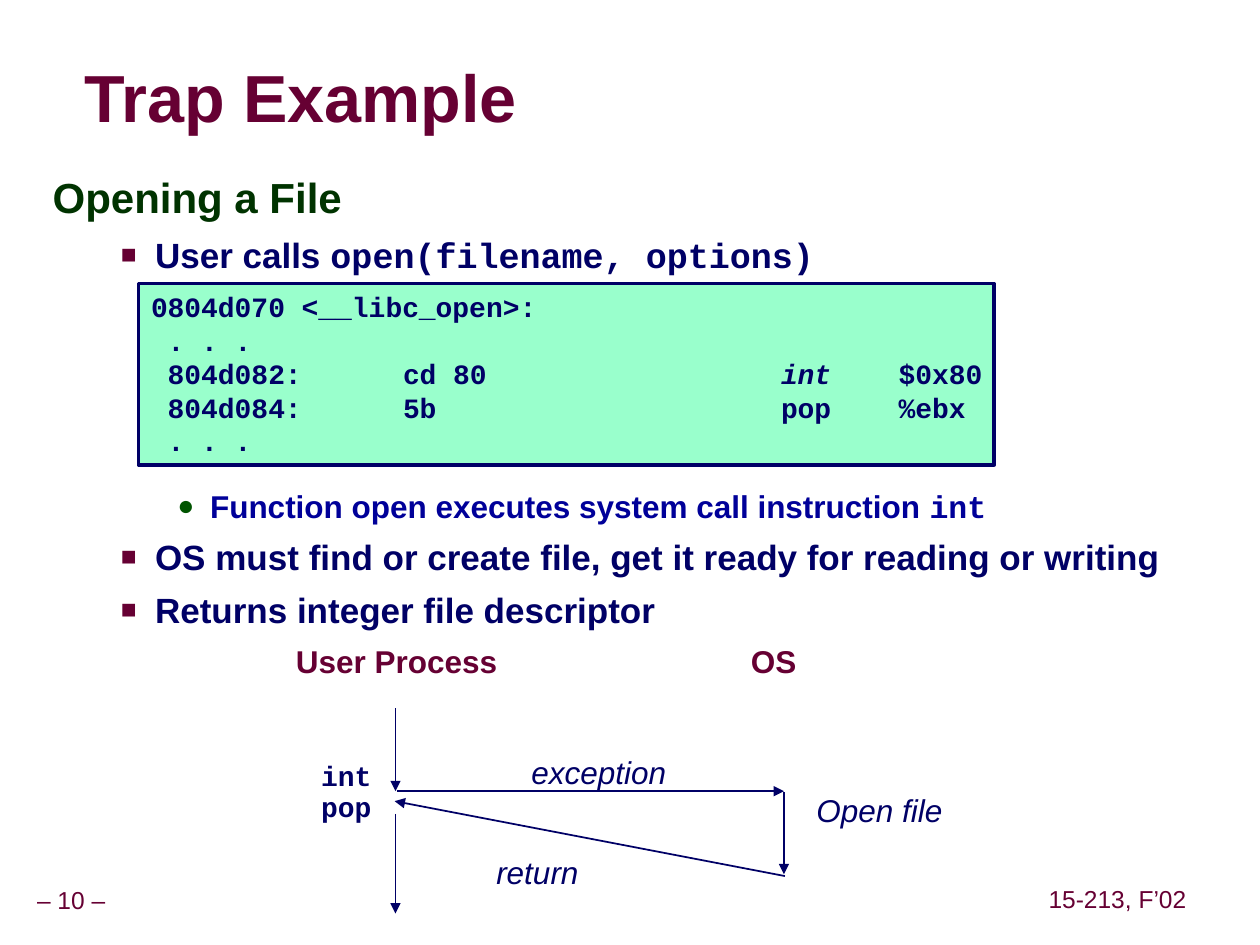
import pptx
import pptx.util
import pptx.dml.color
import pptx.enum.shapes
import pptx.enum.text
import pptx.oxml
from lxml import etree

Pt = pptx.util.Pt
RGB = pptx.dml.color.RGBColor
ALIGN = pptx.enum.text.PP_ALIGN
ANCHOR = pptx.enum.text.MSO_ANCHOR
qn = pptx.oxml.ns.qn

WINE = RGB(0x66, 0x00, 0x33)
NAVY = RGB(0x00, 0x00, 0x66)
BLUE = RGB(0x00, 0x00, 0x99)
PINE = RGB(0x00, 0x33, 0x00)
LEAF = RGB(0x00, 0x54, 0x00)
MINT = RGB(0x99, 0xFF, 0xCC)
SANS, MONO = "Arial", "Courier New"


def style(font, size, color, name=SANS, bold=False, italic=False):
    font.size, font.name = Pt(size), name
    font.color.rgb = color
    font.bold, font.italic = bold, italic


def add_box(slide, box, pad=(7.2, 3.6), wrap=True, anchor=ANCHOR.TOP):
    """Add an empty text box and return its text frame."""
    frame = slide.shapes.add_textbox(*map(Pt, box)).text_frame
    frame.margin_left = frame.margin_right = Pt(pad[0])
    frame.margin_top = frame.margin_bottom = Pt(pad[1])
    frame.word_wrap = wrap
    frame.vertical_anchor = anchor
    return frame


def add_label(slide, box, text, size, color, **look):
    para = add_box(slide, box, wrap=False).paragraphs[0]
    para.text = text
    style(para.font, size, color, **look)


def add_title(slide, box, text):
    frame = add_box(slide, box, pad=(0, 0), anchor=ANCHOR.MIDDLE)
    para = frame.paragraphs[0]
    para.line_spacing = 0.87
    run = para.add_run()
    run.text = text
    style(run.font, 38, WINE, bold=True)
    props = run._r.get_or_add_rPr()
    glow = etree.Element(qn("a:effectLst"))
    shade = etree.SubElement(glow, qn("a:outerShdw"), dist="38100", dir="2700000")
    etree.SubElement(shade, qn("a:srgbClr"), val="C0C0C0")
    props.find(qn("a:solidFill")).addnext(glow)


def add_footer(slide, box, text):
    frame = add_box(slide, box, pad=(3.6, 3.6), wrap=False, anchor=ANCHOR.MIDDLE)
    para = frame.paragraphs[0]
    para.text = text
    para.alignment = ALIGN.CENTER
    para.line_spacing = 0.9
    style(para.font, 14, WINE)


def set_bullet(para, mark, color, scale, left, hang):
    props = para._p.get_or_add_pPr()
    props.set("marL", str(Pt(left)))
    props.set("indent", str(-Pt(hang)))
    tint = etree.SubElement(props, qn("a:buClr"))
    etree.SubElement(tint, qn("a:srgbClr"), val=str(color))
    etree.SubElement(props, qn("a:buSzPct"), val=str(scale * 1000))
    etree.SubElement(props, qn("a:buFont"), typeface=SANS)
    etree.SubElement(props, qn("a:buChar"), char=mark)


def add_body(slide, box):
    frame = add_box(slide, box)
    head = frame.paragraphs[0]
    head.text = "Opening a File"
    head.line_spacing = 0.95
    style(head.font, 24, PINE, bold=True)

    square = ("■", WINE, 75, 58.5, 19.5)
    disc = ("●", LEAF, 90, 90, 18.75)
    # prose, code, bullet, size, colour, space before, line spacing
    items = [
        ("User calls ", "open(filename, options)", square, 20, NAVY, 6.2, 1),
        ("Function open executes system call instruction ", "int",
         disc, 18, BLUE, 119, 1.07),
        ("OS must find or create file, get it ready for reading or writing", "",
         square, 20, NAVY, 6.2, 1),
        ("Returns integer file descriptor", "", square, 20, NAVY, 6.2, 1),
    ]
    for prose, code, bullet, size, color, gap, lead in items:
        para = frame.add_paragraph()
        para.space_before = Pt(gap)
        para.line_spacing = lead
        set_bullet(para, *bullet)
        style(para.font, size, color, bold=True)
        for text, name in ((prose, SANS), (code, MONO)):
            if text:
                run = para.add_run()
                run.text = text
                style(run.font, size, color, name, bold=True)


def add_code(slide, box):
    panel = slide.shapes.add_shape(
        pptx.enum.shapes.MSO_SHAPE.RECTANGLE, *map(Pt, box))
    panel.shadow.inherit = False
    panel.fill.solid()
    panel.fill.fore_color.rgb = MINT
    panel.line.color.rgb = NAVY
    panel.line.width = Pt(2)
    frame = panel.text_frame
    frame.word_wrap = True
    frame.vertical_anchor = ANCHOR.TOP
    frame.margin_left, frame.margin_right = Pt(7.2), 0
    frame.margin_top = frame.margin_bottom = Pt(3.6)
    lines = ["0804d070 <__libc_open>:", " . . .",
             " 804d082:\tcd 80\tint\t$0x80",
             " 804d084:\t5b\tpop\t%ebx", " . . ."]
    for i, line in enumerate(lines):
        para = frame.paragraphs[0] if i == 0 else frame.add_paragraph()
        para.alignment = ALIGN.LEFT
        tabs = etree.SubElement(para._p.get_or_add_pPr(), qn("a:tabLst"))
        for stop in (144, 360, 427.2):
            etree.SubElement(tabs, qn("a:tab"), pos=str(Pt(stop)), algn="l")
        before, trap, after = line.partition("int\t")
        parts = [(before, False), (trap, True), (after, False)]
        for text, slant in parts:
            if text:
                run = para.add_run()
                run.text = text
                style(run.font, 16, NAVY, MONO, bold=True, italic=slant)


def add_arrow(slide, start, end):
    line = slide.shapes.add_connector(
        pptx.enum.shapes.MSO_CONNECTOR.STRAIGHT, *map(Pt, start + end))
    line.line.color.rgb = NAVY
    line.line.width = Pt(1)
    etree.SubElement(line.line._get_or_add_ln(), qn("a:tailEnd"), type="triangle")
    etree.SubElement(line._element.spPr, qn("a:effectLst"))


def add_flow(slide, box):
    """Draw the control flow between the user process and the OS."""
    left, top, width, height = box
    user, system = left + 64, left + 286
    trap, done = top + 88.5, top + 137
    add_label(slide, (left, top, 129.6, 28.8), "User Process", 18, WINE, bold=True)
    add_label(slide, (left + 260, top, 40.3, 28.8), "OS", 18, WINE, bold=True)
    for start, end in [
        ((user, top + 41), (user, trap)),
        ((user + 0.7, trap), (system, trap)),
        ((system, trap + 0.7), (system, done - 1)),
        ((system + 0.5, done), (user - 0.5, trap + 5.7)),
        ((user, trap + 13), (user, top + height)),
    ]:
        add_arrow(slide, start, end)
    for x, y, wide, text in [(134.6, 63.4, 91.4, "exception"),
                             (297.4, 85, 90, "Open file"),
                             (114.5, 120.2, 61.2, "return")]:
        add_label(slide, (left + x, top + y, wide, 28.8), text, 18, NAVY,
                  italic=True)
    for y, text in ((66.2, "int"), (84.2, "pop")):
        add_label(slide, (left + 14.4, top + y, 43.2, 26.6), text, 16, NAVY,
                  name=MONO, bold=True)


def main():
    deck = pptx.Presentation()
    deck.slide_width, deck.slide_height = Pt(720), Pt(540)
    slide = deck.slides.add_slide(deck.slide_layouts[6])
    add_footer(slide, (-6.5, 504, 94.3, 22.3), "– 10 –")
    add_footer(slide, (595.4, 503.3, 86.4, 22.3), "15-213, F’02")
    add_title(slide, (48.2, 35.3, 435.6, 45.4), "Trap Example")
    add_body(slide, (23, 96.5, 654.5, 411.1))
    add_code(slide, (79.2, 162, 488.9, 103.7))
    add_flow(slide, (162, 363.6, 387.4, 158.4))
    deck.save("out.pptx")


if __name__ == "__main__":
    main()
